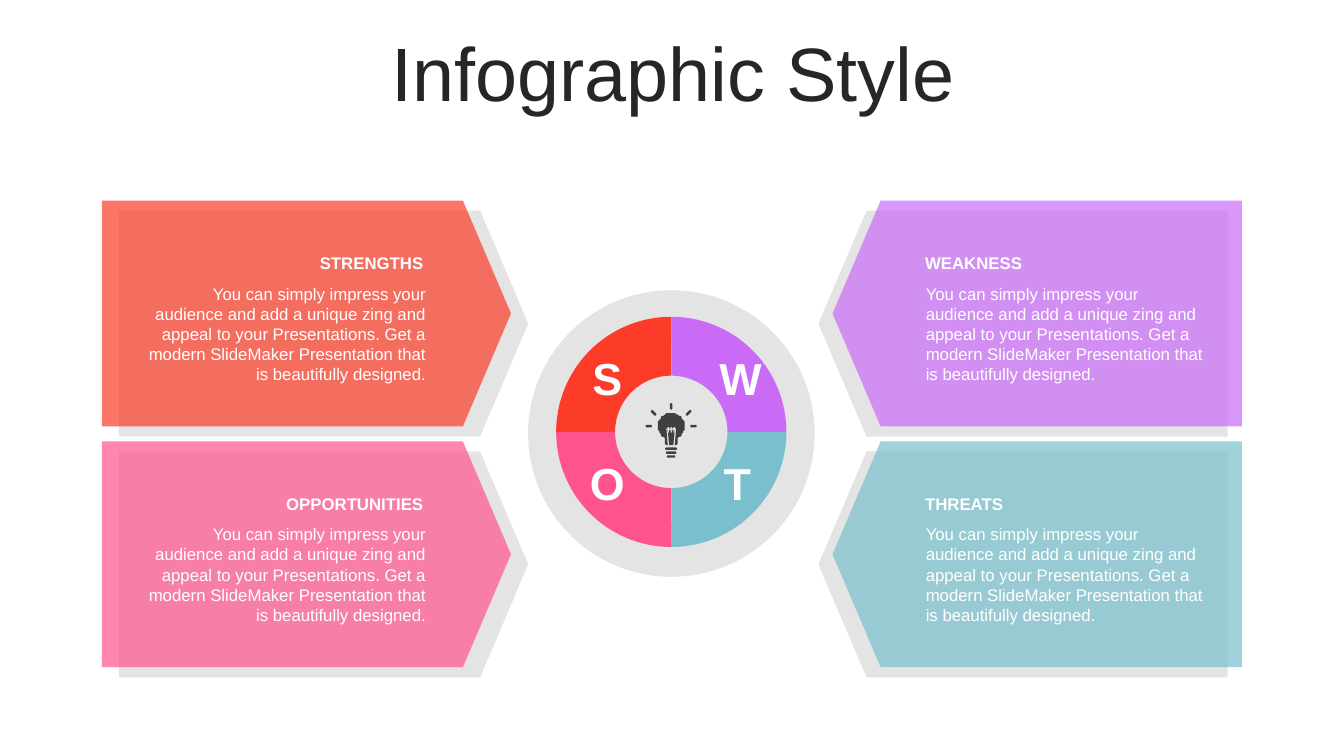
import math
from lxml import etree
from pptx import Presentation
from pptx.dml import color
from pptx.enum import shapes, text
from pptx.oxml import ns
from pptx.util import Pt

RED, PURPLE, PINK, TEAL = "FC3C28", "CA6BF8", "FF5390", "79BFCD"
GREY, DARK, WHITE = "D9D9D9", "404040", "FFFFFF"
KIND, ALIGN = shapes.MSO_SHAPE, text.PP_ALIGN
BODY = ("You can simply impress your audience and add a unique zing and appeal "
        "to your Presentations. Get a modern SlideMaker Presentation that is "
        "beautifully designed.")

deck = Presentation()
deck.slide_width, deck.slide_height = Pt(960), Pt(540)
slide = deck.slides.add_slide(deck.slide_layouts[6])


def paint(shape, hue, alpha=100):
    shape.shadow.inherit = False
    shape.fill.solid()
    shape.fill.fore_color.rgb = color.RGBColor.from_string(hue)
    shape.line.fill.background()
    if alpha < 100:
        tint = shape.fill._xPr.find(".//" + ns.qn("a:srgbClr"))
        etree.SubElement(tint, ns.qn("a:alpha")).set("val", str(alpha * 1000))


def write(words, x, y, w, h, size, align, hue=WHITE, bold=False):
    box = slide.shapes.add_textbox(Pt(x), Pt(y), Pt(w), Pt(h))
    box.text_frame.word_wrap = True
    par = box.text_frame.paragraphs[0]
    par.text, par.alignment = words, align
    par.font.name, par.font.size, par.font.bold = "Arial", Pt(size), bold
    par.font.color.rgb = color.RGBColor.from_string(hue)
    return box


# Title
title = write("Infographic Style", 25.2, 26.6, 911.5, 56.9, 54, ALIGN.CENTER, "262626")
title.text_frame.vertical_anchor = text.MSO_ANCHOR.MIDDLE
title.text_frame.paragraphs[0].line_spacing = 0.9

# Four panels: a grey plate behind a coloured one, then heading and body
panels = [("STRENGTHS", RED, 0, 0), ("OPPORTUNITIES", PINK, 0, 1),
          ("WEAKNESS", PURPLE, 1, 0), ("THREATS", TEAL, 1, 1)]
for head, hue, right, row in panels:
    drop = row * 172
    back, front = (584.6, 594.7) if right else (85, 72.7)
    for x, y, tone in [(back, 150.5, GREY), (front, 143.3, hue)]:
        plate = slide.shapes.add_shape(KIND.PENTAGON, Pt(x), Pt(y + drop), Pt(292.3), Pt(161.3))
        plate.adjustments[0] = 0.213
        plate.rotation = 180 * right
        paint(plate, tone, 70)
    x, w, align = (654.2, 213, ALIGN.LEFT) if right else (94.7, 216.7, ALIGN.RIGHT)
    write(head, x - 0.5, 177 + drop, w - 1.4, 21.8, 12, align, bold=True)
    write(BODY, x, 198.8 + drop, w, 80, 12, align)

# Wheel: grey disc and four quarter rings, clockwise from top left
disc = slide.shapes.add_shape(KIND.OVAL, Pt(377.2), Pt(207.3), Pt(204.7), Pt(204.7))
paint(disc, GREY, 70)
for turn, hue in enumerate([RED, PURPLE, TEAL, PINK]):
    ring = slide.shapes.add_shape(KIND.BLOCK_ARC, Pt(397.3), Pt(226.3), Pt(164.4), Pt(164.4))
    for k, value in enumerate([108, 162, 0.256]):
        ring.adjustments[k] = value
    ring.rotation = 90 * turn
    paint(ring, hue)
for k, letter in enumerate("SWOT"):
    write(letter, 414 + k % 2 * 92.8, 247 + k // 2 * 74.9, 39.6, 46, 32, ALIGN.CENTER, bold=True)

# Bulb: round head with a neck, and the filament cut out; offsets from its centre
cx, cy = 479.4, 304.4
glass = [(9.7 * math.cos(math.radians(a)), 9.7 * math.sin(math.radians(a)))
         for a in range(120, 421, 6)]
neck = [(4.3, 12.8), (3.2, 13.9), (-3.2, 13.9), (-4.3, 12.8)]
comb = [(-3.6, 2.1)]
for x in (-1.8, 0, 1.8):
    comb += [(x - 0.4, 2.1), (x - 0.4, 1), (x + 0.4, 1), (x + 0.4, 2.1)]
comb += [(3.6, 2.1), (2.3, 13.5), (1.4, 13.5), (2.6, 3)]
for x in (1.8, 0, -1.8):
    comb += [(x + 0.4, 3), (x + 0.4, 4.4), (x - 0.4, 4.4), (x - 0.4, 3)]
comb += [(-2.6, 3), (-1.4, 13.5), (-2.3, 13.5)]
outs = [[(cx + x, cy + y) for x, y in part] for part in (glass + neck, comb)]
pen = slide.shapes.build_freeform(*outs[0][0], scale=Pt(1))
pen.add_line_segments(outs[0][1:])
pen.move_to(*outs[1][0])
pen.add_line_segments(outs[1][1:])
paint(pen.convert_to_shape(), DARK)

# Rays and screw base: centre offset, length, thickness, angle
bars = [(-16, 0, 4.6, 1.8, 0), (16, 0, 4.6, 1.8, 0), (0, -14.1, 4.6, 1.8, 90),
        (-12.5, -9.5, 5, 1.8, 45), (12.5, -9.5, 5, 1.8, -45),
        (0, 16.1, 8.6, 1.7, 0), (0, 18.9, 7.6, 1.7, 0), (0, 21.7, 6, 1.7, 0)]
for x, y, w, h, turn in bars:
    bar = slide.shapes.add_shape(KIND.ROUNDED_RECTANGLE, Pt(cx + x - w / 2),
                                 Pt(cy + y - h / 2), Pt(w), Pt(h))
    bar.adjustments[0] = 0.5
    bar.rotation = turn
    paint(bar, DARK)

deck.save("out.pptx")
